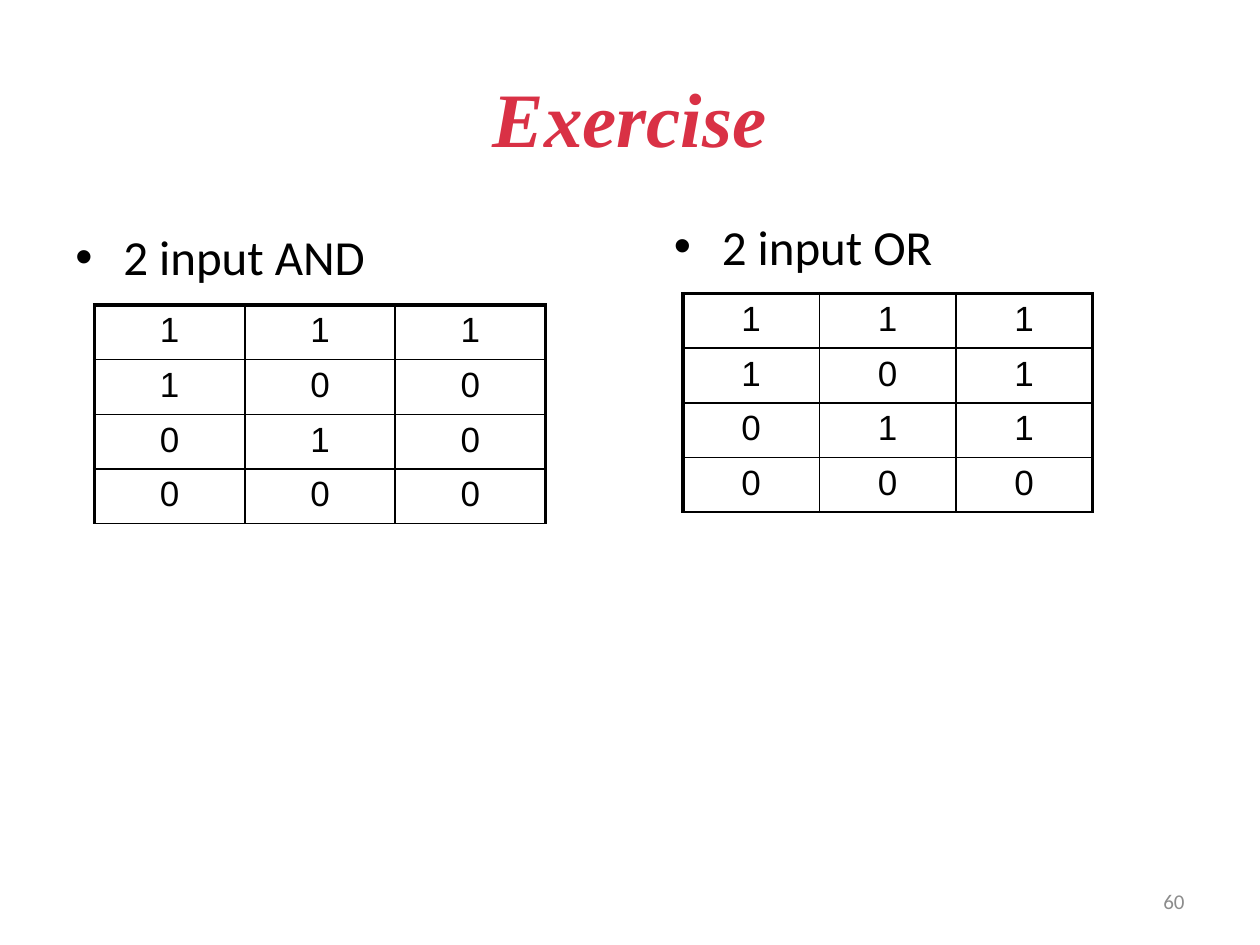
import pptx
import pptx.dml.color
import pptx.enum.text
import pptx.oxml
import pptx.oxml.ns
import pptx.util
from lxml import etree

Inches, Pt = pptx.util.Inches, pptx.util.Pt
RGBColor = pptx.dml.color.RGBColor
ALIGN, ANCHOR = pptx.enum.text.PP_ALIGN, pptx.enum.text.MSO_ANCHOR
qn = pptx.oxml.ns.qn

BLACK = RGBColor(0x00, 0x00, 0x00)
WHITE = RGBColor(0xFF, 0xFF, 0xFF)
RED = RGBColor(0xD9, 0x31, 0x45)
GRAY = RGBColor(0x8C, 0x8C, 0x8C)

# Content: each gate has a heading, its box, a truth table and the table's box
TITLE = "Exercise"
PAGE_NUMBER = "60"
GATES = [
    {"heading": "2 input AND", "heading_box": (0.5, 1.75, 4.42, 4.95),
     "rows": ["111", "100", "010", "000"], "table_box": (0.75, 2.42, 3.58, 1.73)},
    {"heading": "2 input OR", "heading_box": (5.25, 1.67, 4.42, 4.95),
     "rows": ["111", "101", "011", "000"], "table_box": (5.42, 2.33, 3.25, 1.73)},
]

TITLE_FONT = {"name": "Times New Roman", "size": Pt(44), "bold": True, "italic": True}
HEADING_FONT = {"name": "Calibri", "size": Pt(28)}
CELL_FONT = {"name": "Arial", "size": Pt(20)}
NUMBER_FONT = {"name": "Calibri", "size": Pt(12)}
THIN, THICK = Pt(1), Pt(2.25)
INDENT = Inches(0.38)


def style(paragraph, font, color, align):
    paragraph.alignment = align
    for key, value in font.items():
        setattr(paragraph.font, key, value)
    paragraph.font.color.rgb = color


def add_text(slide, text, box, font, color, align, anchor, bullet=False):
    frame = slide.shapes.add_textbox(*map(Inches, box)).text_frame
    frame.word_wrap = True
    frame.vertical_anchor = anchor
    paragraph = frame.paragraphs[0]
    paragraph.text = text
    if bullet:
        properties = paragraph._p.get_or_add_pPr()
        properties.set("marL", str(INDENT))
        properties.set("indent", str(-INDENT))
        etree.SubElement(properties, qn("a:buFont"), typeface="Arial")
        etree.SubElement(properties, qn("a:buChar"), char="•")
    style(paragraph, font, color, align)


def set_borders(cell, widths):
    properties = cell._tc.get_or_add_tcPr()
    for position, (side, width) in enumerate(widths.items()):
        line = etree.Element(qn(f"a:ln{side}"), w=str(width))
        fill = etree.SubElement(line, qn("a:solidFill"))
        etree.SubElement(fill, qn("a:srgbClr"), val=str(BLACK))
        properties.insert(position, line)


def add_truth_table(slide, rows, box):
    row_count, column_count = len(rows), len(rows[0])
    left, top, width, height = map(Inches, box)
    table = slide.shapes.add_table(row_count, column_count, left, top, width, height).table
    table.first_row = table.horz_banding = False
    for r, row in enumerate(rows):
        for c, value in enumerate(row):
            cell = table.cell(r, c)
            cell.text = value
            cell.fill.solid()
            cell.fill.fore_color.rgb = WHITE
            style(cell.text_frame.paragraphs[0], CELL_FONT, BLACK, ALIGN.CENTER)
            # Thick outer edge, except along the bottom
            set_borders(cell, {
                "L": THICK if c == 0 else THIN,
                "R": THICK if c == column_count - 1 else THIN,
                "T": THICK if r == 0 else THIN,
                "B": THIN,
            })


def main():
    deck = pptx.Presentation()
    deck.slide_width, deck.slide_height = Inches(10), Inches(7.5)
    slide = deck.slides.add_slide(deck.slide_layouts[6])

    # Page number and title
    add_text(slide, PAGE_NUMBER, (7.17, 6.95, 2.33, 0.4), NUMBER_FONT, GRAY,
             ALIGN.RIGHT, ANCHOR.MIDDLE)
    add_text(slide, TITLE, (0.5, 0.3, 9, 1.25), TITLE_FONT, RED,
             ALIGN.CENTER, ANCHOR.MIDDLE)

    # Gates with their truth tables
    for gate in GATES:
        add_text(slide, gate["heading"], gate["heading_box"], HEADING_FONT, BLACK,
                 ALIGN.LEFT, ANCHOR.TOP, bullet=True)
        add_truth_table(slide, gate["rows"], gate["table_box"])

    deck.save("out.pptx")


if __name__ == "__main__":
    main()
